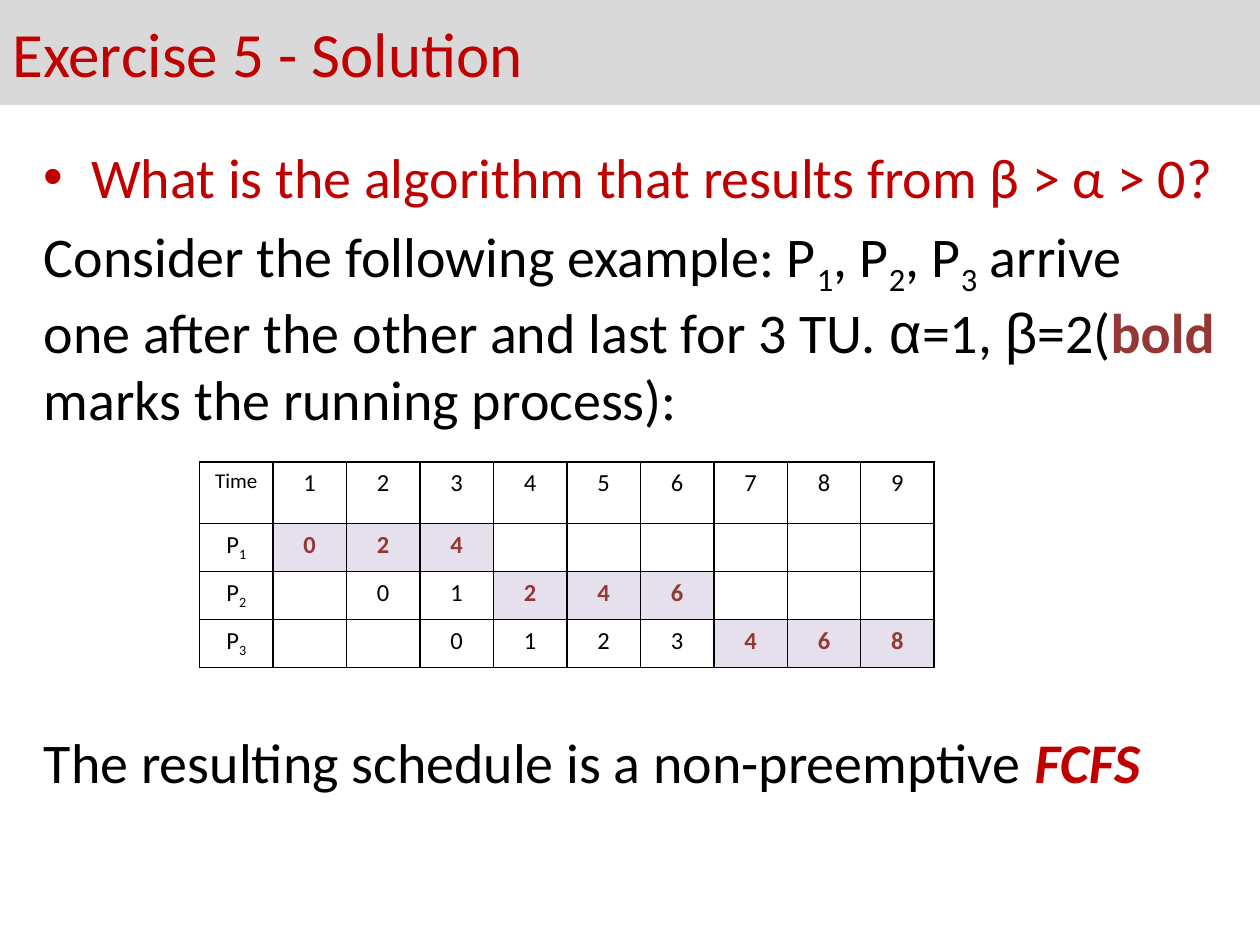
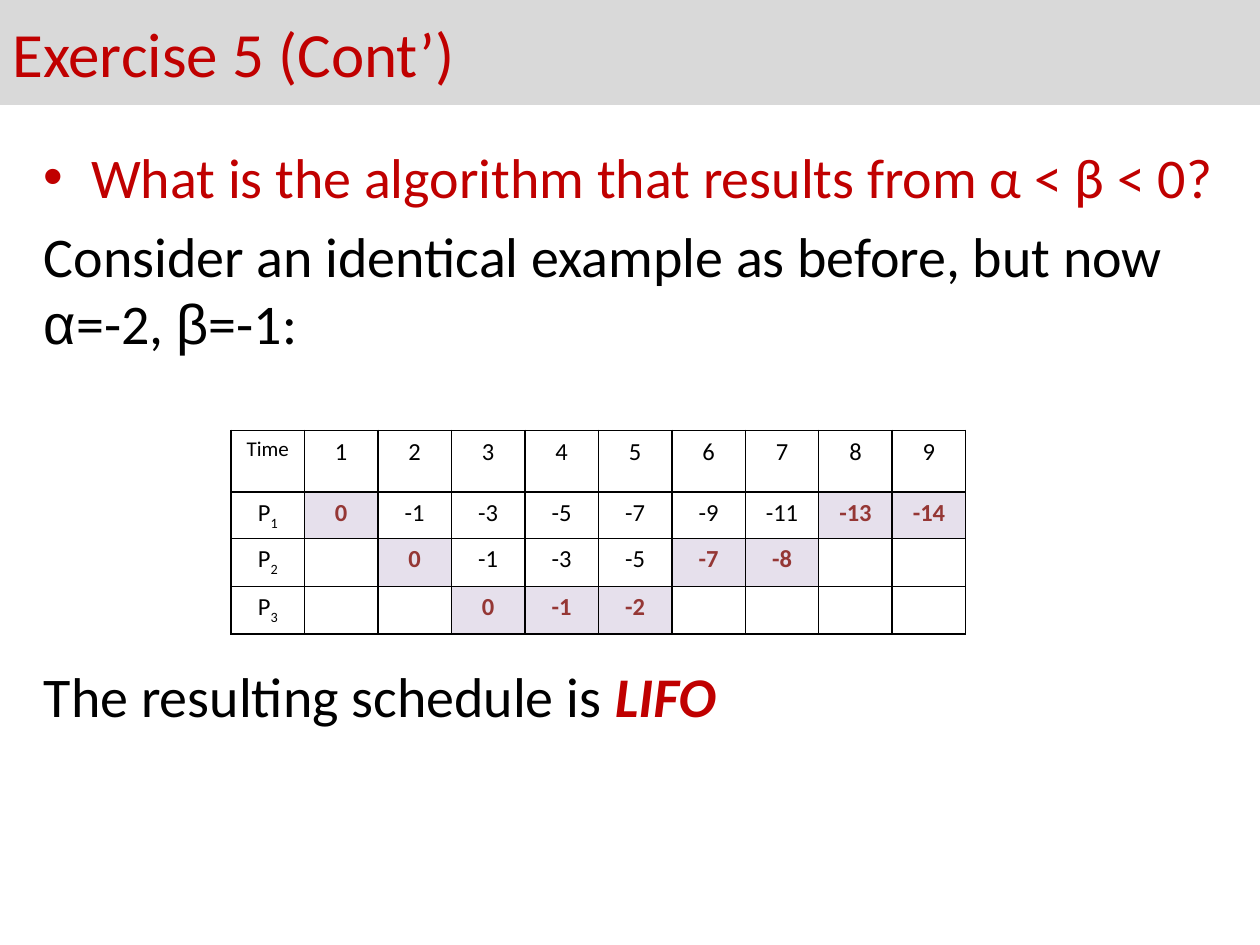
import pptx
import pptx.dml.color
import pptx.enum.shapes
import pptx.enum.text
import pptx.oxml
import pptx.oxml.ns
import pptx.util

Pt = pptx.util.Pt


def color(value):
    return pptx.dml.color.RGBColor.from_string(value)


def append_xml(parent, tag, attributes, content=""):
    namespace = pptx.oxml.ns.nsdecls("a")
    parent.append(pptx.oxml.parse_xml(
        f"<a:{tag} {namespace} {attributes}>{content}</a:{tag}>"))


class Deck:
    red, running, black = "C00000", "953735", "000000"
    band, highlight = "D9D9D9", "E6E0EC"
    font, greek_font = "Calibri", "Arial"
    title_size, body_size, cell_size, label_size = 36, 32, 14, 12
    times = range(1, 10)
    column_width, header_height = 42, 35.3

    def __init__(self):
        self.presentation = pptx.Presentation()
        self.presentation.slide_width = Pt(720)
        self.presentation.slide_height = Pt(540)
        self.slide = None

    def add_slide(self, title):
        layout = self.presentation.slide_layouts[6]
        self.slide = self.presentation.slides.add_slide(layout)
        shape = self.slide.shapes.add_shape(
            pptx.enum.shapes.MSO_SHAPE.RECTANGLE, 0, 0, Pt(720), Pt(60))
        shape.shadow.inherit = False
        shape.fill.solid()
        shape.fill.fore_color.rgb = color(self.band)
        shape.line.fill.background()
        shape.text_frame.vertical_anchor = pptx.enum.text.MSO_ANCHOR.MIDDLE
        paragraph = shape.text_frame.paragraphs[0]
        paragraph.alignment = pptx.enum.text.PP_ALIGN.LEFT
        self.add_text(paragraph, [title], self.title_size, self.red)

    def add_text(self, paragraph, parts, size, text_color, bold=False):
        paragraph.font.name = self.font
        paragraph.font.size = Pt(size)
        paragraph.font.bold = bold
        paragraph.font.color.rgb = color(text_color)
        for part in parts:
            text, style = (part, None) if isinstance(part, str) else part
            run = paragraph.add_run()
            run.text = text
            if style == "subscript":
                run._r.get_or_add_rPr().set("baseline", "-25000")
            elif style == "greek":
                run.font.name = self.greek_font
            elif style in ("running", "answer"):
                run.font.bold = True
                run.font.italic = style == "answer"
                run.font.color.rgb = color(
                    self.red if style == "answer" else self.running)

    def add_body(self, question, example, conclusion, table_gap):
        box = self.slide.shapes.add_textbox(Pt(18), Pt(78), Pt(684), Pt(444))
        frame = box.text_frame
        frame.word_wrap = True
        paragraph = frame.paragraphs[0]
        properties = paragraph._p.get_or_add_pPr()
        properties.set("marL", str(Pt(27)))
        properties.set("indent", str(-Pt(27)))
        append_xml(properties, "buClr", "", f'<a:srgbClr val="{self.red}"/>')
        append_xml(properties, "buFont", 'typeface="Arial"')
        append_xml(properties, "buChar", 'char="•"')
        self.add_text(paragraph, [question], self.body_size, self.red)
        for parts, gap in ((example, 6.4), (conclusion, table_gap)):
            paragraph = frame.add_paragraph()
            paragraph.space_before = Pt(gap)
            self.add_text(paragraph, parts, self.body_size, self.black)

    def add_cell(self, cell, parts, size, is_running=False):
        properties = cell._tc.get_or_add_tcPr()
        for side in "LRTB":
            append_xml(properties, f"ln{side}", f'w="{Pt(0.96)}"',
                       f'<a:solidFill><a:srgbClr val="{self.black}"/></a:solidFill>')
        if is_running:
            cell.fill.solid()
            cell.fill.fore_color.rgb = color(self.highlight)
        else:
            cell.fill.background()
        paragraph = cell.text_frame.paragraphs[0]
        paragraph.alignment = pptx.enum.text.PP_ALIGN.CENTER
        self.add_text(paragraph, parts, size,
                      self.running if is_running else self.black, is_running)

    def add_schedule(self, left, top, processes):
        columns = len(self.times) + 1
        table = self.slide.shapes.add_table(
            len(processes) + 1, columns, Pt(left), Pt(top),
            Pt(columns * self.column_width), Pt(90)).table
        table.first_row = table.horz_banding = False
        for column in table.columns:
            column.width = Pt(self.column_width)
        table.rows[0].height = Pt(self.header_height)
        self.add_cell(table.cell(0, 0), ["Time"], self.label_size)
        for time in self.times:
            self.add_cell(table.cell(0, time), [str(time)], self.cell_size)
        for row, (priorities, running_times) in enumerate(processes, 1):
            by_time = dict(enumerate(priorities, row))
            is_full = len(by_time) == len(self.times)
            table.rows[row].height = Pt(26.2 if is_full else 27.4)
            self.add_cell(table.cell(row, 0),
                          ["P", (str(row), "subscript")], self.cell_size)
            for time in self.times:
                parts = [str(by_time[time])] if time in by_time else []
                self.add_cell(table.cell(row, time), parts, self.cell_size,
                              time in running_times)


def main():
    deck = Deck()

    deck.add_slide("Exercise 5 - Solution")
    deck.add_body(
        "What is the algorithm that results from β > α > 0?",
        ["Consider the following example: P", ("1", "subscript"),
         ", P", ("2", "subscript"), ", P", ("3", "subscript"),
         " arrive one after the other and last for 3 TU. ",
         ("α", "greek"), "=1, ", ("β", "greek"), "=2(",
         ("bold ", "running"), "marks the running process):"],
        ["The resulting schedule is a non-preemptive ", ("FCFS", "answer")],
        169)
    deck.add_schedule(114, 264, [
        ([0, 2, 4], {1, 2, 3}),
        ([0, 1, 2, 4, 6], {4, 5, 6}),
        ([0, 1, 2, 3, 4, 6, 8], {7, 8, 9})])

    deck.add_slide("Exercise 5 (Cont’)")
    deck.add_body(
        "What is the algorithm that results from α < β < 0?",
        ["Consider an identical example as before, but now ",
         ("α", "greek"), "=-2, ", ("β", "greek"), "=-1:"],
        ["The resulting schedule is ", ("LIFO", "answer")],
        175)
    deck.add_schedule(132, 246, [
        ([0, -1, -3, -5, -7, -9, -11, -13, -14], {1, 8, 9}),
        ([0, -1, -3, -5, -7, -8], {2, 6, 7}),
        ([0, -1, -2], {3, 4, 5})])

    deck.presentation.save("out.pptx")


if __name__ == "__main__":
    main()
